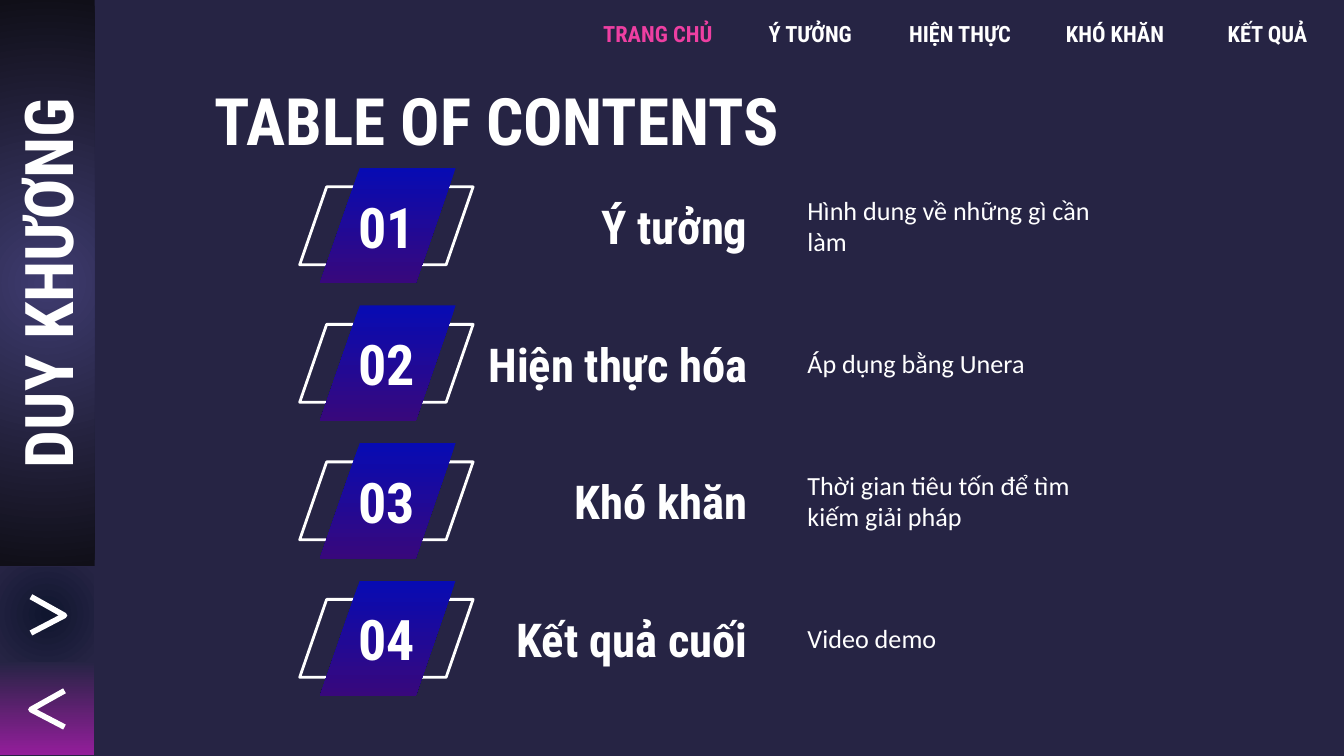
import pptx
import pptx.dml.color
import pptx.enum.shapes
import pptx.enum.text
import pptx.oxml
import pptx.oxml.ns
import pptx.util
from dataclasses import dataclass

Inches = pptx.util.Inches
Pt = pptx.util.Pt
SHAPES = pptx.enum.shapes.MSO_SHAPE
ALIGN = pptx.enum.text.PP_ALIGN


@dataclass(frozen=True)
class Theme:
    background: str = "262444"
    white: str = "FFFFFF"
    accent: str = "EE3FA2"
    badge: tuple = ("070BB3", "38087C")
    back_button: tuple = ("262444", "931E9B")
    next_button: tuple = ("10162F", "262444")
    sidebar: tuple = ("3E3B6F", "100F18")
    heading_font: str = "Roboto Condensed"
    body_font: str = "Calibri"
    nav_size: int = 12
    body_size: int = 14
    topic_size: int = 25
    number_size: int = 30
    title_size: int = 35
    sidebar_size: int = 36


THEME = Theme()
FIRST_ROW, LAST_ROW = 1.39, 4.46
NAVIGATION = ["TRANG CHỦ", "Ý TƯỞNG", "HIỆN THỰC ", "KHÓ KHĂN", "KẾT QUẢ"]
TOPICS = [
    ("Ý tưởng", "Hình dung về những gì cần làm"),
    ("Hiện thực hóa", "Áp dụng bằng Unera"),
    ("Khó khăn", "Thời gian tiêu tốn để tìm kiếm giải pháp"),
    ("Kết quả cuối", "Video demo"),
]


def color(value):
    return pptx.dml.color.RGBColor.from_string(value)


def write(box, text, size, align=ALIGN.LEFT, ink=THEME.white,
          font=THEME.heading_font, bold=True):
    frame = box.text_frame
    frame.word_wrap = True
    frame.vertical_anchor = pptx.enum.text.MSO_ANCHOR.MIDDLE
    frame.margin_left = frame.margin_right = Inches(0.1)
    frame.margin_top = frame.margin_bottom = Inches(0.1)
    frame.text = text
    para = frame.paragraphs[0]
    para.alignment = align
    span = para.runs[0]
    span.font.name = font
    span.font.size = Pt(size)
    span.font.bold = bold
    span.font.color.rgb = color(ink)


def add_text(page, left, top, width, height, text, size, **style):
    box = page.shapes.add_textbox(*map(Inches, (left, top, width, height)))
    write(box, text, size, **style)


def add_panel(page, kind, left, top, width, height):
    shape = page.shapes.add_shape(kind, *map(Inches, (left, top, width, height)))
    shape.shadow.inherit = False
    shape.line.fill.background()
    if kind == SHAPES.PARALLELOGRAM:
        shape.adjustments[0] = 0.346
    return shape


def fill_gradient(shape, colors, radial=False):
    shape.fill.gradient()
    shape.fill.gradient_angle = 270
    for stop, value in zip(shape.fill.gradient_stops, colors):
        stop.color.rgb = color(value)
    if radial:
        linear = shape.element.spPr.find(".//" + pptx.oxml.ns.qn("a:lin"))
        circle = pptx.oxml.parse_xml(
            f'<a:path {pptx.oxml.ns.nsdecls("a")} path="circle">'
            '<a:fillToRect l="50000" t="50000" r="50000" b="50000"/></a:path>')
        linear.getparent().replace(linear, circle)


def outline(shape, width):
    shape.fill.background()
    shape.line.color.rgb = color(THEME.white)
    shape.line.width = Pt(width)


def add_chevron(page, top, tail, tip):
    points = [(tail, top), (tip, top + 0.14), (tail, top + 0.27)]
    points = [(Inches(x), Inches(y)) for x, y in points]
    builder = page.shapes.build_freeform(*points[0])
    builder.add_line_segments(points[1:], close=False)
    chevron = builder.convert_to_shape()
    chevron.shadow.inherit = False
    outline(chevron, 3)


def add_topic(page, number, top, name, detail):
    frame = add_panel(page, SHAPES.PARALLELOGRAM, 2.23, top, 1.29, 0.58)
    outline(frame, 1.5)
    badge = add_panel(page, SHAPES.PARALLELOGRAM, 2.38, top - 0.14, 1.01, 0.86)
    fill_gradient(badge, THEME.badge)
    add_text(page, 2.3, top + 0.09, 1.16, 0.4, f"{number:02}",
             THEME.number_size, align=ALIGN.CENTER)
    add_text(page, 3.46, top, 2.2, 0.58, name, THEME.topic_size,
             align=ALIGN.RIGHT)
    add_text(page, 5.91, top, 2.56, 0.58, detail, THEME.body_size,
             font=THEME.body_font, bold=False)


def add_sidebar(page):
    back = add_panel(page, SHAPES.RECTANGLE, 0, 4.92, 0.7, 0.7)
    fill_gradient(back, THEME.back_button)
    forward = add_panel(page, SHAPES.RECTANGLE, 0, 4.22, 0.7, 0.7)
    fill_gradient(forward, THEME.next_button, radial=True)
    banner = add_panel(page, SHAPES.RECTANGLE, -1.76, 1.75, 4.22, 0.71)
    banner.rotation = 270
    fill_gradient(banner, THEME.sidebar, radial=True)
    write(banner, "DUY KHƯƠNG", THEME.sidebar_size, align=ALIGN.CENTER)
    add_chevron(page, 4.44, tail=0.23, tip=0.48)
    add_chevron(page, 5.14, tail=0.48, tip=0.23)


def add_navigation(page, deck):
    left = 4.33
    step = (deck.slide_width.inches - left) / len(NAVIGATION)
    for index, label in enumerate(NAVIGATION):
        add_text(page, left + step * index, 0.07, 1.13, 0.36, label,
                 THEME.nav_size, align=ALIGN.CENTER,
                 ink=THEME.white if index else THEME.accent)


def main():
    # Widescreen page, 16 by 9
    deck = pptx.Presentation()
    deck.slide_width = Inches(10)
    deck.slide_height = Inches(10 * 9 / 16)
    page = deck.slides.add_slide(deck.slide_layouts[6])
    page.background.fill.solid()
    page.background.fill.fore_color.rgb = color(THEME.background)

    # Contents list, one row per topic
    pitch = (LAST_ROW - FIRST_ROW) / (len(TOPICS) - 1)
    for index, (name, detail) in enumerate(TOPICS):
        add_topic(page, index + 1, FIRST_ROW + pitch * index, name, detail)
    add_text(page, 1.5, 0.57, 7.72, 0.63, "TABLE OF CONTENTS", THEME.title_size)

    # Sidebar and top menu
    add_sidebar(page)
    add_navigation(page, deck)
    deck.save("out.pptx")


if __name__ == "__main__":
    main()
